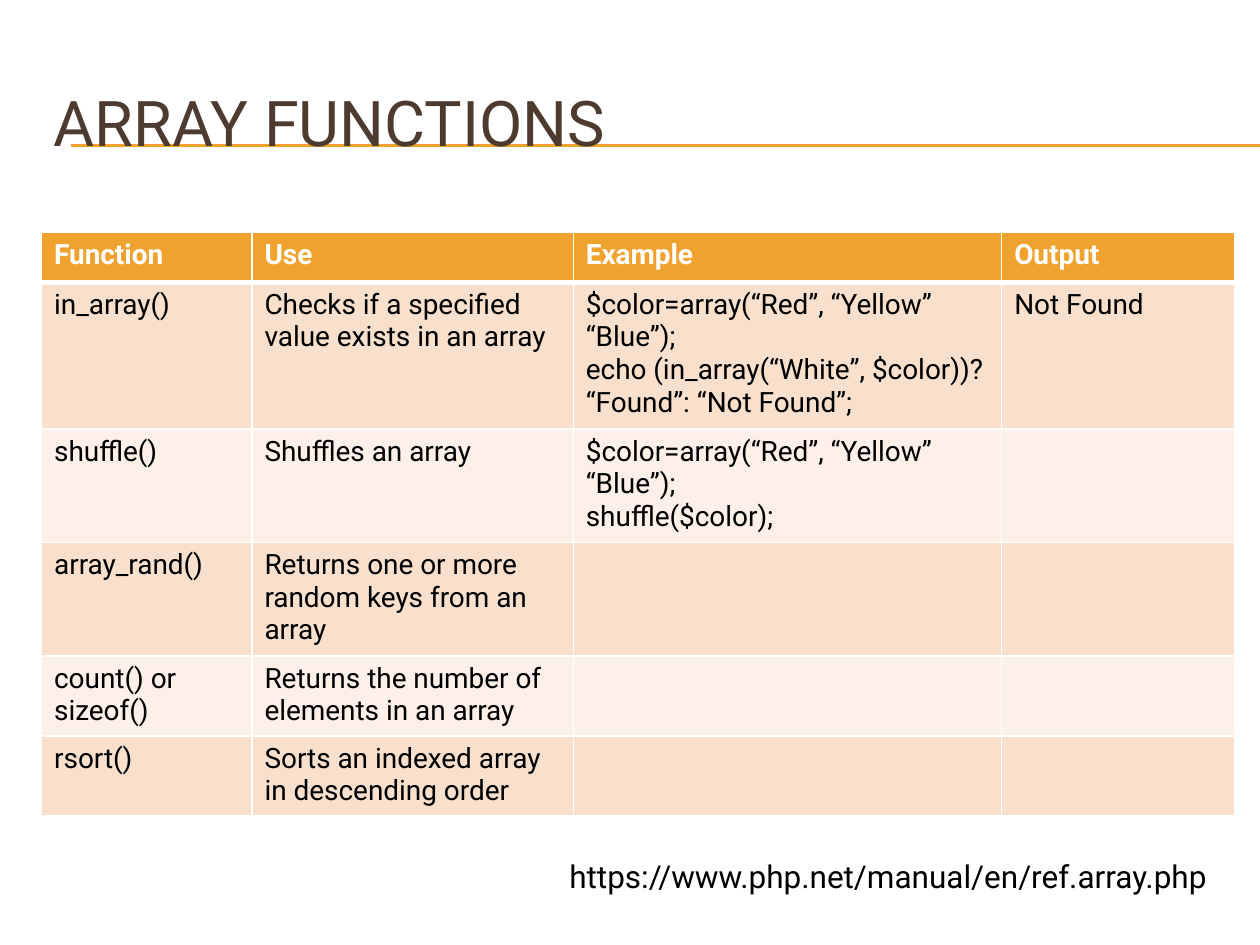
from dataclasses import dataclass
from lxml import etree
from pptx import Presentation
from pptx.dml.color import RGBColor
from pptx.enum import shapes, text
from pptx.oxml import ns
from pptx.util import Inches, Pt


@dataclass(frozen=True)
class Theme:
    font: str = "Roboto"
    accent: str = "F0A22E"
    heading: str = "4E3B30"
    ink: str = "000000"
    paper: str = "FFFFFF"
    bands: tuple = ("F9E0CD", "FCF0E8")
    title_size: int = 36
    table_size: int = 16
    link_size: int = 18


THEME = Theme()
TITLE = "ARRAY FUNCTIONS"
LINK = "https://www.php.net/manual/en/ref.array.php"
COLORS = "$color=array(“Red”, “Yellow” “Blue”);"
HEADER = ("Function", "Use", "Example", "Output")
FUNCTIONS = [
    ("in_array()", "Checks if a specified value exists in an array",
     COLORS + "\necho (in_array(“White”, $color))? “Found”: “Not Found”;", "Not Found"),
    ("shuffle()", "Shuffles an array", COLORS + "\nshuffle($color);", ""),
    ("array_rand()", "Returns one or more random keys from an array", "", ""),
    ("count() or sizeof()", "Returns the number of elements in an array", "", ""),
    ("rsort()", "Sorts an indexed array in descending order", "", ""),
]
COLUMN_WIDTHS = (1.67, 2.55, 3.4, 1.85)
ROW_HEIGHTS = (0.4, 1.13, 0.87, 0.88, 0.62, 0.63)
RULE_HEIGHTS = (1.15, 1.16)


def write(frame, content, size, color, bold=False):
    frame.text = content
    for paragraph in frame.paragraphs:
        paragraph.font.size = Pt(size)
        for run in paragraph.runs:
            run.font.name = THEME.font
            run.font.size = Pt(size)
            run.font.bold = bold
            run.font.color.rgb = RGBColor.from_string(color)


def add_text(slide, box, content, size, color, anchor):
    frame = slide.shapes.add_textbox(*map(Inches, box)).text_frame
    frame.word_wrap = True
    frame.vertical_anchor = anchor
    write(frame, content, size, color)


def add_rule(slide, y):
    rule = slide.shapes.add_connector(
        shapes.MSO_CONNECTOR.STRAIGHT, Inches(0.56), Inches(y), Inches(10), Inches(y))
    rule.line.color.rgb = RGBColor.from_string(THEME.accent)
    rule.line.width = Pt(0.75)
    etree.SubElement(rule._element.spPr, ns.qn("a:effectLst"))


def set_borders(cell, widths):
    properties = cell._tc.get_or_add_tcPr()
    for position, (side, width) in enumerate(widths.items()):
        border = etree.Element(ns.qn(f"a:ln{side}"), w=str(Pt(width)))
        fill = etree.SubElement(border, ns.qn("a:solidFill"))
        etree.SubElement(fill, ns.qn("a:srgbClr"), val=THEME.paper)
        properties.insert(position, border)


def add_functions(slide):
    rows = [HEADER, *FUNCTIONS]
    table = slide.shapes.add_table(
        len(rows), len(HEADER), Inches(0.33), Inches(1.84),
        Inches(sum(COLUMN_WIDTHS)), Inches(sum(ROW_HEIGHTS))).table
    for column, width in zip(table.columns, COLUMN_WIDTHS):
        column.width = Inches(width)
    for r, (row, height) in enumerate(zip(rows, ROW_HEIGHTS)):
        table.rows[r].height = Inches(height)
        is_header = r == 0
        fill = THEME.accent if is_header else THEME.bands[(r - 1) % 2]
        color = THEME.paper if is_header else THEME.ink
        for c, content in enumerate(row):
            cell = table.cell(r, c)
            write(cell.text_frame, content, THEME.table_size, color, is_header)
            cell.fill.solid()
            cell.fill.fore_color.rgb = RGBColor.from_string(fill)
            set_borders(cell, {"L": 1, "R": 1, "T": 3 if r == 1 else 1,
                               "B": 3 if is_header else 1})


def main():
    deck = Presentation()
    deck.slide_width, deck.slide_height = Inches(10), Inches(7.5)
    slide = deck.slides.add_slide(deck.slide_layouts[6])
    for y in RULE_HEIGHTS:
        add_rule(slide, y)
    add_text(slide, (0.33, 0.5, 9.5, 0.92), TITLE, THEME.title_size,
             THEME.heading, text.MSO_ANCHOR.MIDDLE)
    add_functions(slide)
    add_text(slide, (4.42, 6.75, 5.32, 0.4), LINK, THEME.link_size,
             THEME.ink, text.MSO_ANCHOR.TOP)
    deck.save("out.pptx")


if __name__ == "__main__":
    main()
